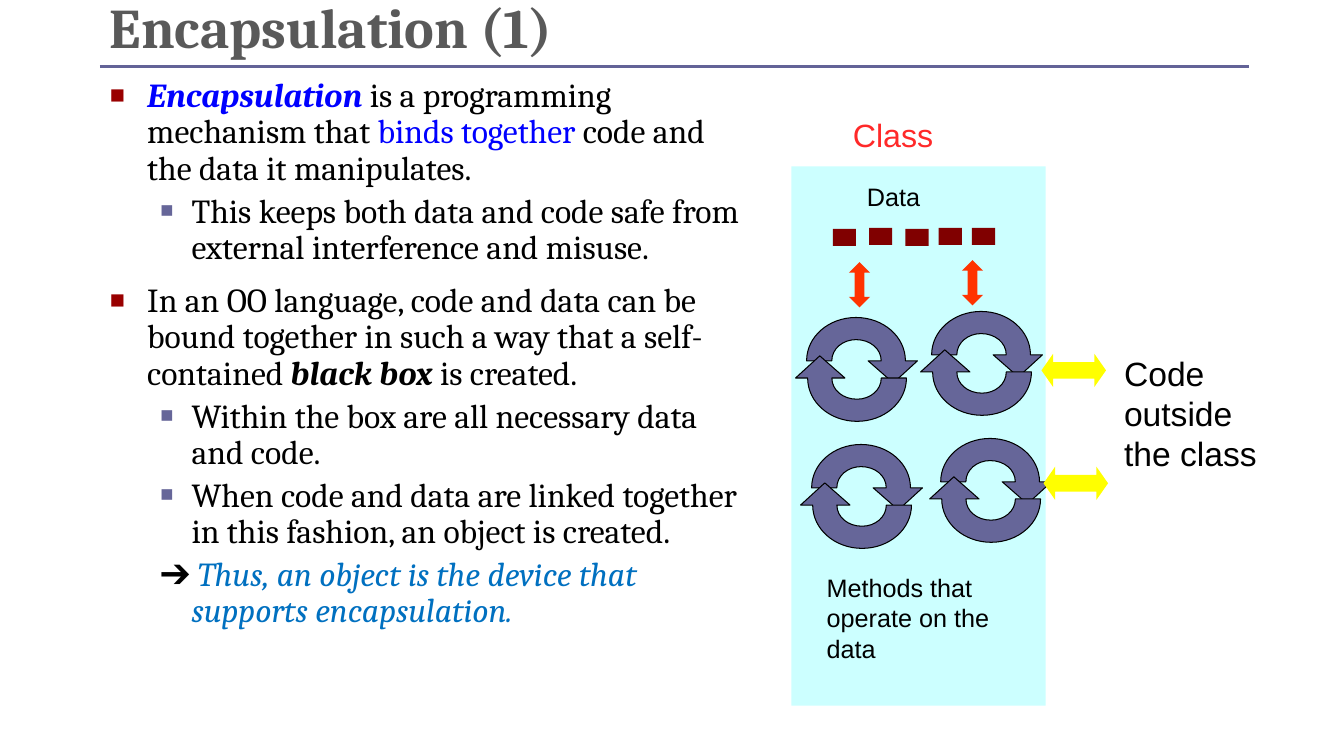
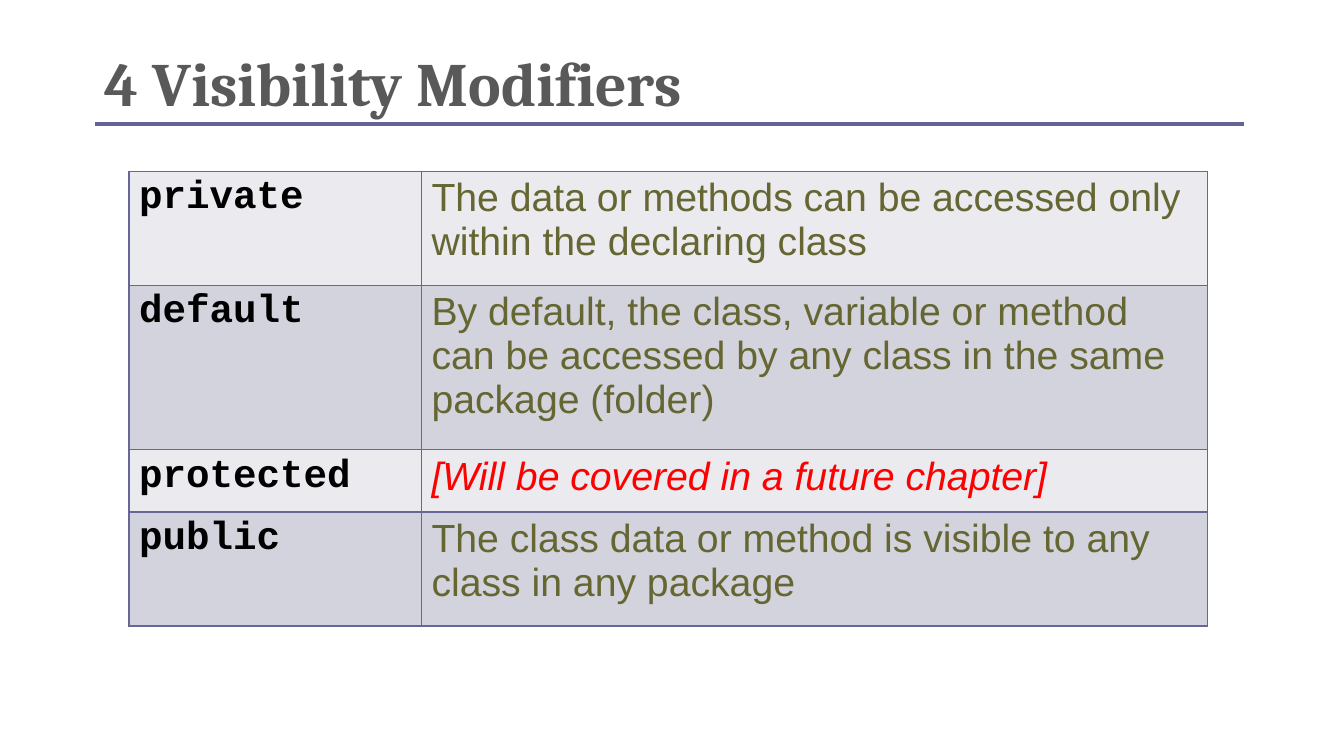
from lxml import etree
from pptx import Presentation
from pptx import util as u
from pptx.dml.color import RGBColor
from pptx.enum import shapes, text
from pptx.oxml import ns

PX = 9144  # one px is a hundredth of an inch

BLACK = RGBColor(0x00, 0x00, 0x00)
TITLE_GREY = RGBColor(0x59, 0x59, 0x59)
RULE = RGBColor(0x63, 0x63, 0x97)
VIOLET = RGBColor(0x66, 0x66, 0x99)
BULLET_RED = RGBColor(0x99, 0x00, 0x00)
BLUE = RGBColor(0x00, 0x00, 0xFF)
SKY = RGBColor(0x00, 0x70, 0xC0)
CLASS_FILL = RGBColor(0xCC, 0xFF, 0xFF)
CLASS_RED = RGBColor(0xFF, 0x29, 0x29)
DATA_RED = RGBColor(0x80, 0x00, 0x00)
INNER_ARROW = RGBColor(0xFF, 0x33, 0x00)
OUTER_ARROW = RGBColor(0xFF, 0xFF, 0x00)
OLIVE = RGBColor(0x66, 0x66, 0x33)
RED = RGBColor(0xFF, 0x00, 0x00)
BANDS = (RGBColor(0xEA, 0xEA, 0xEF), RGBColor(0xD3, 0xD3, 0xDE))

SERIF, SANS, MONO = "Cambria", "Arial", "Courier New"
RULE_WIDTH = 1140

# Body list: (level, space before, runs); each run is text and its format
POINTS = [
    (0, 0, [("Encapsulation ", dict(color=BLUE, bold=True, italic=True)),
            ("is a programming mechanism that ", {}),
            ("binds together ", dict(color=BLUE)),
            ("code and the data it manipulates.", {})]),
    (1, 4.8, [("This keeps both data and code safe from external "
               "interference and misuse.", {})]),
    (0, 12, [("In an OO language, code and data can be bound together in "
              "such a way that a self-contained ", {}),
             ("black box ", dict(bold=True, italic=True)),
             ("is created.", {})]),
    (1, 4.8, [("Within the box are all necessary data and code.", {})]),
    (1, 4.8, [("When code and data are linked together in this fashion, "
               "an object is created.", {})]),
    (None, 4.8, [("➔ ", {}),
                 ("Thus, an object is the device that supports "
                  "encapsulation.", dict(color=SKY, italic=True))]),
]
# Level: left margin, hanging indent, bullet colour, bullet size in percent
LEVELS = {0: (37, 37, BULLET_RED, 75), 1: (81, 31, VIOLET, 65),
          None: (81, 31, None, None)}

MODIFIERS = [
    ("private", "The data or methods can be accessed only within the "
                "declaring class", 113, {}),
    ("default", "By default, the class, variable or method can be accessed "
                "by any class in the same package (folder)", 163, {}),
    ("protected", "[Will be covered in a future chapter]", 62,
     dict(color=RED, italic=True)),
    ("public", "The class data or method is visible to any class in any "
               "package", 113, {}),
]

# Half-ring arrow, drawn in a box of this size
RING_WIDTH, RING_HEIGHT = 98, 86
HALF_RING = [
    ("a:moveTo", [(74, 43)]),
    ("a:cubicBezTo", [(74, 31), (63, 22), (49, 22)]),
    ("a:cubicBezTo", [(36, 22), (25, 31), (25, 43)]),
    ("a:lnTo", [(0, 43)]),
    ("a:cubicBezTo", [(0, 19), (22, 0), (49, 0)]),
    ("a:cubicBezTo", [(76, 0), (98, 19), (98, 43)]),
    ("a:lnTo", [(110, 43)]),
    ("a:lnTo", [(86, 65)]),
    ("a:lnTo", [(61, 43)]),
    ("a:close", []),
]


def px(*lengths):
    return [length * PX for length in lengths]


def write(paragraph, words, size=24, font=SERIF, color=BLACK, bold=False,
          italic=False):
    run = paragraph.add_run()
    run.text = words
    run.font.size = u.Pt(size)
    run.font.name = font
    run.font.color.rgb = color
    run.font.bold = bold
    run.font.italic = italic


def sub(parent, tag, **attributes):
    return etree.SubElement(parent, ns.qn(tag), attributes)


def move(part, left, top, width, height):
    part.left, part.top, part.width, part.height = px(left, top, width, height)


def paint(part, fill, line=None):
    part.shadow.inherit = False
    part.fill.solid()
    part.fill.fore_color.rgb = fill
    if line is None:
        part.line.fill.background()
    else:
        part.line.color.rgb = line
        part.line.width = u.Pt(0.75)


def add_preset(slide, kind, box, fill, adjustments=()):
    part = slide.shapes.add_shape(kind, *px(*box))
    paint(part, fill)
    for index, value in enumerate(adjustments):
        part.adjustments[index] = value


def add_label(slide, box, words, **style):
    frame = slide.shapes.add_textbox(*px(*box)).text_frame
    frame.word_wrap = True
    write(frame.paragraphs[0], words, font=SANS, **style)


def add_header(slide, box, rule_y, words, size):
    """Title with a rule under it."""
    title = slide.shapes.title
    move(title, *box)
    frame = title.text_frame
    frame.auto_size = text.MSO_AUTO_SIZE.NONE
    frame.vertical_anchor = text.MSO_ANCHOR.BOTTOM
    heading = frame.paragraphs[0]
    heading.alignment = text.PP_ALIGN.LEFT
    heading.line_spacing = 0.8
    write(heading, words, size=size, color=TITLE_GREY, bold=True)

    rule = slide.shapes.add_connector(
        shapes.MSO_CONNECTOR.STRAIGHT,
        *px(box[0], rule_y, box[0] + RULE_WIDTH, rule_y))
    rule.line.color.rgb = RULE
    rule.line.width = u.Pt(2.5)
    sub(rule._element.spPr, "a:effectLst")


def set_bullet(paragraph, level):
    margin, hanging, color, percent = LEVELS[level]
    properties = paragraph._p.get_or_add_pPr()
    properties.set("marL", str(margin * PX))
    properties.set("indent", str(-hanging * PX))
    if color is None:
        sub(properties, "a:buNone")
        return
    sub(sub(properties, "a:buClr"), "a:srgbClr", val=str(color))
    sub(properties, "a:buSzPct", val=str(percent * 1000))
    sub(properties, "a:buFont", typeface=SANS)
    sub(properties, "a:buChar", char="■")


def add_points(slide, box):
    body = slide.placeholders[1]
    move(body, *box)
    frame = body.text_frame
    frame.auto_size = text.MSO_AUTO_SIZE.NONE
    for index, (level, before, runs) in enumerate(POINTS):
        point = frame.add_paragraph() if index else frame.paragraphs[0]
        set_bullet(point, level)
        point.level = 0 if level == 0 else 1
        point.line_spacing = 0.9
        point.space_before = u.Pt(before)
        for words, style in runs:
            write(point, words, **style)


def add_half_ring(slide, left, top, rotation):
    builder = slide.shapes.build_freeform(*px(left, top))
    builder.add_line_segments([px(left + RING_WIDTH, top + RING_HEIGHT)])
    half = builder.convert_to_shape()
    # Curved outline in place of the straight one
    outline = half._element.spPr.find(".//" + ns.qn("a:path"))
    for step in list(outline):
        outline.remove(step)
    outline.set("w", str(RING_WIDTH * PX))
    outline.set("h", str(RING_HEIGHT * PX))
    for tag, points in HALF_RING:
        step = sub(outline, tag)
        for x, y in points:
            sub(step, "a:pt", x=str(x * PX), y=str(y * PX))
    half.rotation = rotation
    paint(half, VIOLET, BLACK)


def add_cycle(slide, left, top):
    """Two half rings, the lower one turned around."""
    add_half_ring(slide, left, top, 0)
    add_half_ring(slide, left + 1, top + 17, 180)


def add_class_diagram(slide, left, top, width, height):
    preset = shapes.MSO_SHAPE

    def at(x, y, w, h):
        return left + x, top + y, w, h

    # Class box and its data
    add_preset(slide, preset.RECTANGLE, (left, top, width, height), CLASS_FILL)
    add_label(slide, at(51, -56, 229, 52), "Class", size=23, color=CLASS_RED)
    add_label(slide, at(65, 10, 104, 43), "Data", size=18)
    for x, y in ((41, 62), (77, 61), (113, 62), (146, 61), (179, 61)):
        add_preset(slide, preset.RECTANGLE, at(x, y, 23, 17), DATA_RED)

    # Methods
    for x, y in ((139, 144), (20, 276), (15, 150), (148, 270)):
        add_cycle(slide, left + x, top + y)
    add_label(slide, at(25, 398, 192, 108),
              "Methods that operate on the data", size=18)

    # Arrows between data, methods and outside code
    for x, y in ((57, 95), (169, 93)):
        add_preset(slide, preset.UP_DOWN_ARROW, at(x, y, 21, 45),
                   INNER_ARROW, (0.5, 0.46))
    for x, y in ((248, 186), (250, 298)):
        add_preset(slide, preset.LEFT_RIGHT_ARROW, at(x, y, 64, 33),
                   OUTER_ARROW, (0.5, 0.35))
    add_label(slide, at(320, 180, 175, 142), "Code outside the class")


def fill_cell(cell, words, fill, **style):
    properties = cell._tc.get_or_add_tcPr()
    for side in ("a:lnL", "a:lnR", "a:lnT", "a:lnB"):
        border = sub(properties, side, w=str(u.Pt(1)))
        sub(sub(border, "a:solidFill"), "a:srgbClr", val=str(VIOLET))
    cell.fill.solid()
    cell.fill.fore_color.rgb = fill
    paragraph = cell.text_frame.paragraphs[0]
    paragraph.space_after = u.Pt(18)
    write(paragraph, words, size=28, **style)


def add_modifier_table(slide, left, top, widths):
    height = sum(row[2] for row in MODIFIERS)
    table = slide.shapes.add_table(
        len(MODIFIERS), len(widths),
        *px(left, top, sum(widths), height)).table
    table.first_row = table.horz_banding = False
    for column, width in zip(table.columns, widths):
        column.width = width * PX
    for index, (keyword, meaning, row_height, style) in enumerate(MODIFIERS):
        table.rows[index].height = row_height * PX
        band = BANDS[index % 2]
        fill_cell(table.cell(index, 0), keyword, band, font=MONO, bold=True)
        fill_cell(table.cell(index, 1), meaning, band,
                  **{"font": SANS, "color": OLIVE, **style})


def encapsulation_slide(deck):
    slide = deck.slides.add_slide(deck.slide_layouts[1])
    add_points(slide, (99, 73, 651, 677))
    add_class_diagram(slide, 785, 165, 252, 535)
    add_header(slide, (99, -2, 892, 66), 66, "Encapsulation (1)", 40)


def modifiers_slide(deck):
    slide = deck.slides.add_slide(deck.slide_layouts[5])
    add_modifier_table(slide, 128, 170, (290, 780))
    add_header(slide, (94, 42, 892, 80), 123, "4 Visibility Modifiers", 44)


def main():
    deck = Presentation()
    deck.slide_width, deck.slide_height = px(1333, 750)
    encapsulation_slide(deck)
    modifiers_slide(deck)
    deck.save("out.pptx")


if __name__ == "__main__":
    main()
